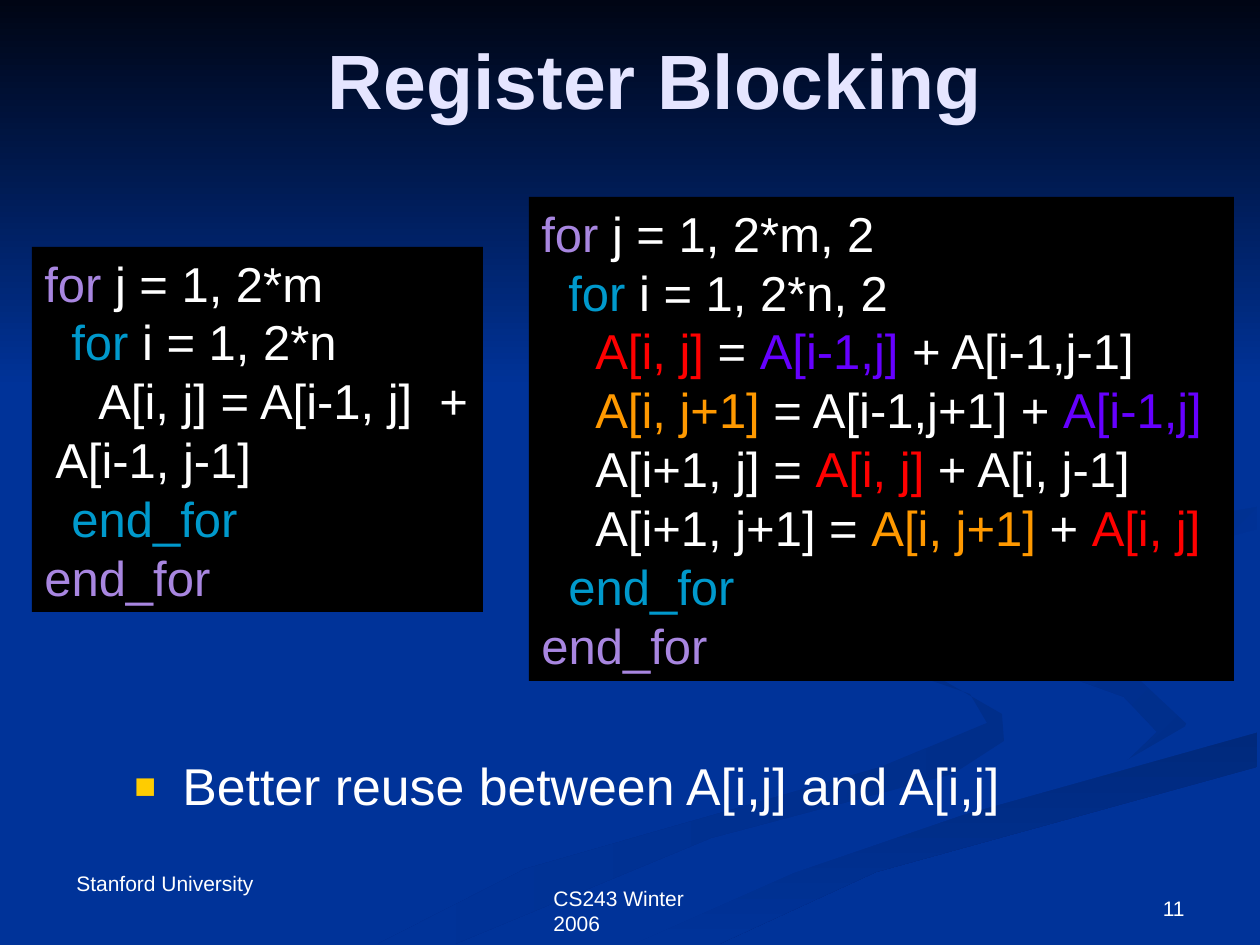
from lxml.etree import SubElement
from pptx import Presentation
from pptx.dml.color import RGBColor
from pptx.enum.shapes import MSO_SHAPE
from pptx.enum.text import MSO_ANCHOR, PP_ALIGN
from pptx.oxml.ns import qn
from pptx.util import Emu, Pt

EMU_PER_PX = 914400 / 126
FONT = "Arial"
INDENT = 27  # one code level, px

COLORS = {
    "bg": "003399", "night": "000514", "black": "000000", "white": "FFFFFF",
    "title": "E5E5FF", "bullet": "FFCC00",
    "outer": "A886E0", "inner": "0099CC",
    "red": "FF0000", "violet": "6600FF", "orange": "FF9900",
    "shade1": "002E8A", "shade2": "00297C", "shade3": "002C85",
}

# Ribbons from back to front: first colour, last colour, clockwise angle, outline
RIBBONS = [
    ("shade1", "bg", 180, [
        (724, 578), (759, 617), (934, 675), (1002, 714), (1004, 741),
        (953, 774), (711, 838), (455, 944), (378, 944), (525, 869),
        (881, 767), (987, 723), (970, 694), (738, 614)]),
    ("shade1", "bg", 225, [
        (912, 585), (955, 627), (1140, 680), (1188, 718), (1181, 738),
        (1126, 762), (1157, 732), (1124, 697), (940, 630)]),
    ("shade2", "bg", 90, [
        (634, 944), (719, 944), (876, 872), (1257, 767), (1257, 732),
        (963, 815), (794, 873)]),
    ("bg", "bg", 0, [
        (914, 585), (956, 627), (1140, 680), (1188, 725), (1124, 762),
        (887, 825), (601, 944), (634, 944), (794, 873), (963, 815),
        (1259, 732), (1259, 678), (984, 583), (1259, 488)]),
    ("bg", "shade3", 225, [
        (984, 580), (1041, 625), (1015, 595), (1257, 529), (1257, 507),
        (1034, 546)]),
]

W, O, I = "white", "outer", "inner"
PLAIN_CODE = [  # level, runs
    (0, [("for", O), (" j = 1, 2*m", W)]),
    (1, [("for", I), (" i = 1, 2*n", W)]),
    (2, [("A[i, j] = A[i-1, j]  + A[i-1, j-1]", W)]),
    (1, [("end_for", I)]),
    (0, [("end_for", O)]),
]
BLOCKED_CODE = [
    (0, [("for", O), (" j = 1, 2*m, 2", W)]),
    (1, [("for", I), (" i = 1, 2*n, 2", W)]),
    (2, [("A[i, j]", "red"), (" = ", W), ("A[i-1,j]", "violet"),
         (" + A[i-1,j-1]", W)]),
    (2, [("A[i, j+1]", "orange"), (" = A[i-1,j+1] + ", W),
         ("A[i-1,j]", "violet")]),
    (2, [("A[i+1, j] = ", W), ("A[i, j]", "red"), (" + A[i, j-1]", W)]),
    (2, [("A[i+1, j+1] = ", W), ("A[i, j+1]", "orange"), (" + ", W),
         ("A[i, j]", "red")]),
    (1, [("end_for", I)]),
    (0, [("end_for", O)]),
]


def px(n):
    return Emu(round(n * EMU_PER_PX))


def rgb(name):
    return RGBColor.from_string(COLORS[name])


def add_run(p, text, color, size, bold=False):
    r = p.add_run()
    r.text = text
    r.font.name, r.font.size, r.font.bold = FONT, Pt(size), bold
    r.font.color.rgb = rgb(color)


def set_indent(p, margin, first):
    """Set the left margin and the first-line offset of a paragraph, in px."""
    pPr = p._p.get_or_add_pPr()
    pPr.set("marL", str(px(margin)))
    pPr.set("indent", str(px(first)))
    return pPr


def add_label(s, box, text, size, color="white", bold=False,
              align=PP_ALIGN.LEFT, anchor=MSO_ANCHOR.TOP):
    tf = s.shapes.add_textbox(*map(px, box)).text_frame
    tf.word_wrap, tf.vertical_anchor = True, anchor
    p = tf.paragraphs[0]
    p.alignment = align
    add_run(p, text, color, size, bold)
    return p


def paint(sp, first, last, angle=0):
    """Fill without outline: solid for one colour, else a clockwise gradient."""
    sp.shadow.inherit = False
    sp.line.fill.background()
    if first == last:
        sp.fill.solid()
        sp.fill.fore_color.rgb = rgb(first)
        return
    sp.fill.gradient()
    sp.fill.gradient_angle = (360 - angle) % 360
    for stop, color, pos in zip(sp.fill.gradient_stops, (first, last), (0, 1)):
        stop.color.rgb, stop.position = rgb(color), pos


def add_backdrop(s, box):
    left, top, width, _ = box
    s.background.fill.solid()
    s.background.fill.fore_color.rgb = rgb("bg")
    for first, last, angle, outline in RIBBONS:
        points = [(left + x, top + y) for x, y in outline]
        fb = s.shapes.build_freeform(*points[0], scale=EMU_PER_PX)
        fb.add_line_segments(points[1:], close=True)
        paint(fb.convert_to_shape(), first, last, angle)
    sky = s.shapes.add_shape(MSO_SHAPE.RECTANGLE,
                             *map(px, (left, top, width, 388)))
    paint(sky, "night", "bg", 90)


def add_code(s, box, lines):
    sp = s.shapes.add_shape(MSO_SHAPE.RECTANGLE, *map(px, box))
    paint(sp, "black", "black")
    tf = sp.text_frame
    tf.word_wrap, tf.vertical_anchor = True, MSO_ANCHOR.TOP
    for i, (level, runs) in enumerate(lines):
        p = tf.add_paragraph() if i else tf.paragraphs[0]
        p.alignment = PP_ALIGN.LEFT
        wrapped = 11 if level else 0  # where a wrapped line resumes
        set_indent(p, wrapped, level * INDENT - wrapped)
        for text, color in runs:
            add_run(p, text, color, 28)


def add_bullet(s, box, text):
    p = add_label(s, box, text, 29.6)
    p.line_spacing, p.space_before = 0.9, Pt(8)
    pPr = set_indent(p, 48, -48)
    clr = SubElement(pPr, qn("a:buClr"))
    SubElement(clr, qn("a:srgbClr"), val=COLORS["bullet"])
    SubElement(pPr, qn("a:buSzPct"), val="70000")
    SubElement(pPr, qn("a:buFont"), typeface=FONT)
    SubElement(pPr, qn("a:buChar"), char="■")


def add_footer(s, box):
    left, top, width, height = box
    add_label(s, (left, top + 3, 237, 38), "Stanford University", 12)
    add_label(s, (left + 477, top + 18, 208, 38), "CS243 Winter 2006", 12)
    add_label(s, (left + width - 294, top, 294, height), "11", 12,
              align=PP_ALIGN.RIGHT, anchor=MSO_ANCHOR.BOTTOM)


def main():
    prs = Presentation()
    prs.slide_width, prs.slide_height = px(1260), px(945)
    s = prs.slides.add_slide(prs.slide_layouts[6])
    add_backdrop(s, (0, 0, 1260, 945))
    add_label(s, (105, 0, 1101, 158), "Register Blocking", 44, "title", True,
              PP_ALIGN.CENTER, MSO_ANCHOR.MIDDLE)
    add_code(s, (32, 247, 451, 365), PLAIN_CODE)
    add_code(s, (529, 197, 705, 484), BLOCKED_CODE)
    add_bullet(s, (122, 755, 1002, 79), "Better reuse between A[i,j] and A[i,j]")
    add_footer(s, (64, 861, 1133, 66))
    prs.save("out.pptx")


if __name__ == "__main__":
    main()
